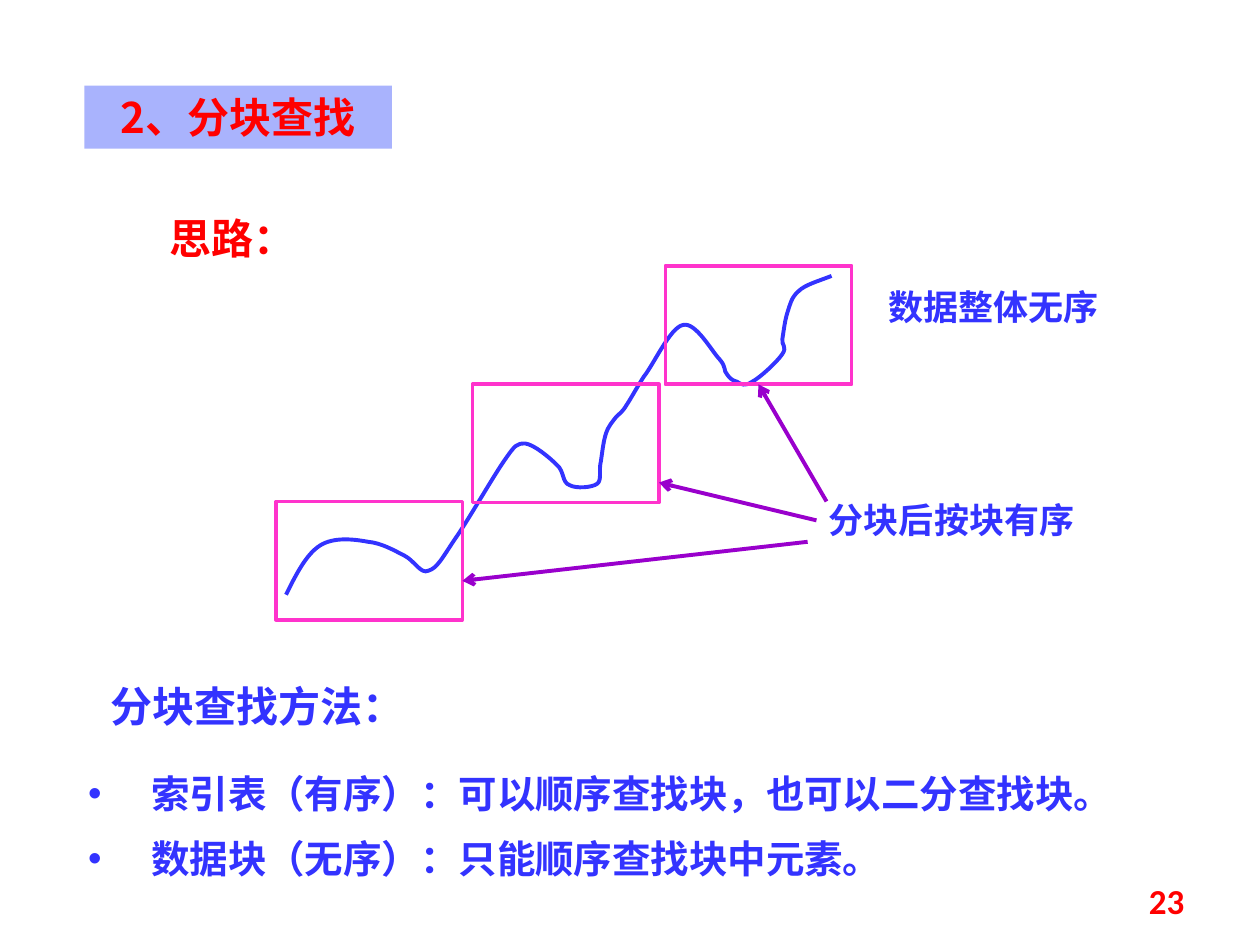
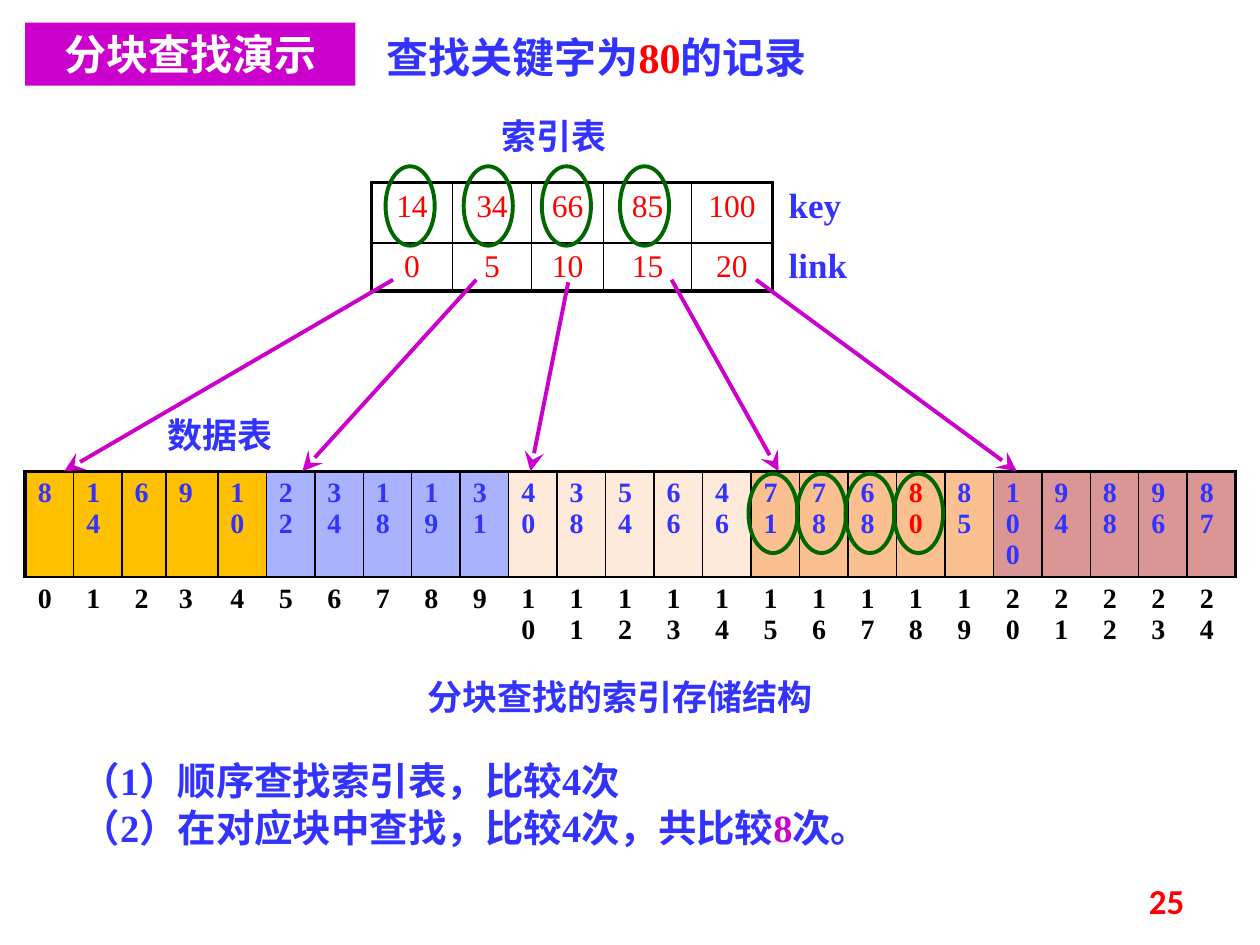
from lxml import etree
from pptx import Presentation
from pptx import util as u
from pptx.dml.color import RGBColor
from pptx.enum import shapes, text
from pptx.oxml import ns

BLUE, RED, BLACK, WHITE = "3333FF", "FF0000", "000000", "FFFFFF"
PINK, PURPLE, MAGENTA, GREEN = "FF33CC", "9900CC", "CC00CC", "006600"
LAVENDER = "A9B3FD"
SANS, SERIF, NUMBER = "Noto Sans CJK SC", "Times New Roman", "Calibri"
LEFT, CENTER, RIGHT = text.PP_ALIGN.LEFT, text.PP_ALIGN.CENTER, text.PP_ALIGN.RIGHT
NO_GRID = "{2D5ABB26-0587-4C30-8999-92F81FD0307C}"
THICK, THIN = 2.25, 1

# Slide 1: three rising blocks and the data curve through them
BLOCK_SIZE = (1.48, 0.94)
BLOCKS = [(2.19, 3.98), (3.75, 3.05), (5.28, 2.11)]
BLOCK_ARROWS = [((6.41, 4.3), (3.67, 4.61)), ((6.48, 4.13), (5.23, 3.83)),
                ((6.56, 3.98), (6.02, 3.05))]
CURVE_UNITS = 100  # curve points are in hundredths of an inch
CURVE_START = (227, 472)
CURVE = [  # two control points and an end point for each piece
    (235, 456), (243, 440), (254, 433), (265, 426), (281, 428), (292, 430),
    (303, 431), (313, 437), (321, 441), (329, 445), (334, 456), (340, 453),
    (347, 451), (351, 443), (361, 428), (371, 414), (391, 379), (400, 366),
    (409, 353), (410, 352), (417, 352), (424, 353), (436, 363), (442, 369),
    (448, 374), (446, 383), (452, 385), (457, 388), (470, 387), (474, 384),
    (478, 381), (475, 373), (477, 366), (478, 359), (479, 350), (481, 344),
    (483, 338), (486, 335), (489, 331), (492, 328), (494, 327), (497, 322),
    (501, 316), (504, 310), (511, 299), (519, 289), (532, 260), (542, 258),
    (552, 255), (565, 279), (571, 285), (577, 292), (574, 294), (577, 297),
    (579, 300), (581, 302), (585, 303), (588, 305), (591, 307), (597, 303),
    (603, 300), (617, 287), (621, 281), (625, 275), (620, 274), (621, 269),
    (622, 263), (623, 254), (625, 248), (627, 242), (628, 236), (634, 231),
    (639, 226), (650, 223), (660, 219)]
METHODS = ["索引表（有序）：可以顺序查找块，也可以二分查找块。",
           "数据块（无序）：只能顺序查找块中元素。"]

# Slide 2: index table over data table
INDEX = [[14, 34, 66, 85, 100], [0, 5, 10, 15, 20]]
INDEX_COLS = [0.64, 0.63, 0.57, 0.7, 0.64]
DATA_BLOCKS = [("FFC000", [8, 14, 6, 9, 10]), (LAVENDER, [22, 34, 18, 19, 31]),
               ("FDEADA", [40, 38, 54, 66, 46]), ("FAC090", [71, 78, 68, 80, 85]),
               ("D99694", [100, 94, 88, 96, 87])]
DATA_COLS = [0.385, 0.385, 0.35, 0.41] + [0.385] * 21
TARGET = 80
LINKS = [((3.12, 2.22), (0.51, 3.74)), ((3.78, 2.22), (2.4, 3.74)),
         ((4.51, 2.24), (4.21, 3.74)), ((5.33, 2.22), (6.18, 3.74)),
         ((6, 2.22), (8.07, 3.74))]
COMPARED = [(3.06, 1.32, 0.62), (5.94, 3.76, 0.385)]  # left, top, step
COMPARISONS = 4
LABELS = [("索引表", 3.98, 0.91), ("key", 6.26, 1.46), ("link", 6.26, 1.93),
          ("数据表", 1.33, 3.28)]
STEPS = [[("（1）顺序查找索引表，比较4次", BLUE)],
         [("（2）在对应块中查找，比较4次，共比较", BLUE), ("8", MAGENTA), ("次。", BLUE)]]


def rgb(value):
    return RGBColor.from_string(value)


def inches(values):
    return [u.Inches(v) for v in values]


def sub(parent, tag, **attrs):
    return etree.SubElement(parent, ns.qn(tag), attrs)


def add_run(p, words, size, color, font, bold=True):
    r = p.add_run()
    r.text = words
    r.font.size, r.font.bold, r.font.name = u.Pt(size), bold, font
    r.font.color.rgb = rgb(color)
    sub(r._r.get_or_add_rPr(), "a:ea", typeface=SANS)


def fill_frame(tf, paragraphs, size, font, color=BLUE, align=LEFT, inset=(0.1, 0.05),
               before=0, line=1.2, bullet=False):
    """Write paragraphs, each a string or a list of (words, colour) runs."""
    tf.word_wrap = True
    tf.auto_size = text.MSO_AUTO_SIZE.NONE
    tf.margin_left = tf.margin_right = u.Inches(inset[0])
    tf.margin_top = tf.margin_bottom = u.Inches(inset[1])
    for i, runs in enumerate(paragraphs):
        p = tf.add_paragraph() if i else tf.paragraphs[0]
        if bullet:
            pPr = p._p.get_or_add_pPr()
            pPr.set("marL", str(u.Inches(0.5)))
            pPr.set("indent", str(u.Inches(-0.5)))
            sub(pPr, "a:buFont", typeface="Arial")
            sub(pPr, "a:buChar", char="•")
        p.alignment = align
        p.line_spacing = u.Pt(round(size * line, 1))
        p.space_before = u.Pt(before if i else 0)
        for words, c in [(runs, color)] if isinstance(runs, str) else runs:
            add_run(p, words, size, c, font)


def add_text(slide, box, paragraphs, size, font=SERIF, **style):
    sp = slide.shapes.add_textbox(*inches(box))
    fill_frame(sp.text_frame, paragraphs, size, font, **style)
    return sp


def set_outline(sp, color, width):
    sp.shadow.inherit = False
    sp.fill.background()
    sp.line.color.rgb, sp.line.width = rgb(color), u.Pt(width)


def add_outline(slide, kind, box, color, width):
    sp = slide.shapes.add_shape(kind, *inches(box))
    set_outline(sp, color, width)
    return sp


def add_arrow(slide, start, end, color, head, size="med"):
    cx = slide.shapes.add_connector(shapes.MSO_CONNECTOR.STRAIGHT, *inches(start + end))
    cx.line.color.rgb, cx.line.width = rgb(color), u.Pt(2.25)
    sub(cx.line._get_or_add_ln(), "a:tailEnd", type=head, w=size, len=size)
    sub(cx._element.spPr, "a:effectLst")
    return cx


def add_curve(slide, start, points, color):
    """Draw cubic pieces: every three points make one piece."""
    builder = slide.shapes.build_freeform(*start, scale=u.Inches(1) / CURVE_UNITS)
    builder.add_line_segments(points, close=False)
    sp = builder.convert_to_shape()
    set_outline(sp, color, 2.25)
    path = next(sp._element.iter(ns.qn("a:path")))
    lines = path.findall(ns.qn("a:lnTo"))
    for i in range(0, len(lines), 3):
        piece = sub(path, "a:cubicBezTo")
        for ln in lines[i:i + 3]:
            piece.append(ln[0])
            path.remove(ln)


def add_grid(slide, left, top, cols, rows):
    shape = slide.shapes.add_table(len(rows), len(cols),
                                   *inches((left, top, sum(cols), sum(rows))))
    table = shape.table
    table.first_row = table.horz_banding = False
    table._tbl.tblPr.find(ns.qn("a:tableStyleId")).text = NO_GRID
    for col, w in zip(table.columns, cols):
        col.width = u.Inches(w)
    for row, h in zip(table.rows, rows):
        row.height = u.Inches(h)
    return table


def fill_cell(cell, value, size, color, fill=None, borders=None, bold=True, align=LEFT):
    """Borders are widths for left, right, top and bottom."""
    p = cell.text_frame.paragraphs[0]
    p.alignment = align
    add_run(p, str(value), size, color, SERIF, bold)
    tcPr = cell._tc.get_or_add_tcPr()
    for side, width in zip("LRTB", borders or ()):
        ln = sub(tcPr, "a:ln" + side, w=str(u.Pt(width)))
        sub(sub(ln, "a:solidFill"), "a:srgbClr", val=BLACK)
    if fill:
        cell.fill.solid()
        cell.fill.fore_color.rgb = rgb(fill)
    else:
        cell.fill.background()


def edge(outer):
    return THICK if outer else THIN


def new_slide(prs, title, box, color, band, number):
    slide = prs.slides.add_slide(prs.slide_layouts[5])
    sp = slide.shapes.title
    sp.left, sp.top, sp.width, sp.height = inches(box)
    sp.fill.solid()
    sp.fill.fore_color.rgb = rgb(band)
    fill_frame(sp.text_frame, [title], 24, SANS, color=color, align=CENTER)
    sp.text_frame.vertical_anchor = text.MSO_ANCHOR.MIDDLE
    page = add_text(slide, (7.17, 6.95, 2.33, 0.4), [number], 20, NUMBER,
                    color=RED, align=RIGHT)
    page.text_frame.vertical_anchor = text.MSO_ANCHOR.MIDDLE
    return slide


def build_idea(prs):
    slide = new_slide(prs, "2、分块查找", (0.67, 0.68, 2.44, 0.5), RED, LAVENDER, "23")
    add_text(slide, (1.25, 1.64, 1.52, 0.5), ["思路："], 24, SANS, color=RED)
    add_curve(slide, CURVE_START, CURVE, BLUE)
    blocks = [add_outline(slide, shapes.MSO_SHAPE.RECTANGLE, at + BLOCK_SIZE, PINK, 2)
              for at in BLOCKS]
    add_text(slide, (6.95, 2.22, 2.11, 0.44), ["数据整体无序"], 20, SANS)
    add_text(slide, (6.48, 3.91, 2.58, 0.44), ["分块后按块有序"], 20, SANS)
    arrows = [add_arrow(slide, a, b, PURPLE, "arrow") for a, b in BLOCK_ARROWS]
    arrows[-1].end_connect(blocks[-1], 2)
    add_text(slide, (0.7, 6.11, 8.91, 0.93), METHODS, 22, inset=(0, 0), before=11,
             bullet=True)
    add_text(slide, (0.78, 5.35, 3.05, 0.5), ["分块查找方法："], 24)


def build_demo(prs):
    slide = new_slide(prs, "分块查找演示", (0.2, 0.18, 2.62, 0.5), WHITE, MAGENTA, "25")
    add_text(slide, (2.97, 0.2, 4.17, 0.5),
             [[("查找关键字为", BLUE), (str(TARGET), RED), ("的记录", BLUE)]], 24)

    data = add_grid(slide, 0.2, 3.74, DATA_COLS, [0.84, 0.69])
    records = [(fill, v) for fill, values in DATA_BLOCKS for v in values]
    last = len(records) - 1
    for i, (fill, value) in enumerate(records):
        fill_cell(data.cell(0, i), value, 16, RED if value == TARGET else BLUE, fill,
                  (edge(i == 0), edge(i == last), THICK, THIN))
        fill_cell(data.cell(1, i), i, 16, BLACK)

    index = add_grid(slide, 2.95, 1.45, INDEX_COLS, [0.48, 0.38])
    last = len(INDEX_COLS) - 1
    for r, values in enumerate(INDEX):
        for c, value in enumerate(values):
            fill_cell(index.cell(r, c), value, 18, RED, bold=False, align=CENTER,
                      borders=(edge(c == 0), edge(c == last), edge(r == 0), edge(r == 1)))

    for words, left, top in LABELS:
        add_text(slide, (left, top, 1.02, 0.33), [words], 20, inset=(0, 0))
    for start, end in LINKS:
        add_arrow(slide, start, end, MAGENTA, "stealth", "lg")
    for left, top, step in COMPARED:
        for i in range(COMPARISONS):
            add_outline(slide, shapes.MSO_SHAPE.OVAL, (left + i * step, top, 0.39, 0.63),
                        GREEN, 2.25)
    add_text(slide, (2.81, 5.31, 4.22, 0.44), ["分块查找的索引存储结构"], 20, align=CENTER)
    add_text(slide, (0.55, 6.11, 7.56, 0.74), STEPS, 22, before=11, line=0.72)


def main():
    prs = Presentation()
    prs.slide_width, prs.slide_height = inches((10, 7.5))
    build_idea(prs)
    build_demo(prs)
    prs.save("out.pptx")


if __name__ == "__main__":
    main()
